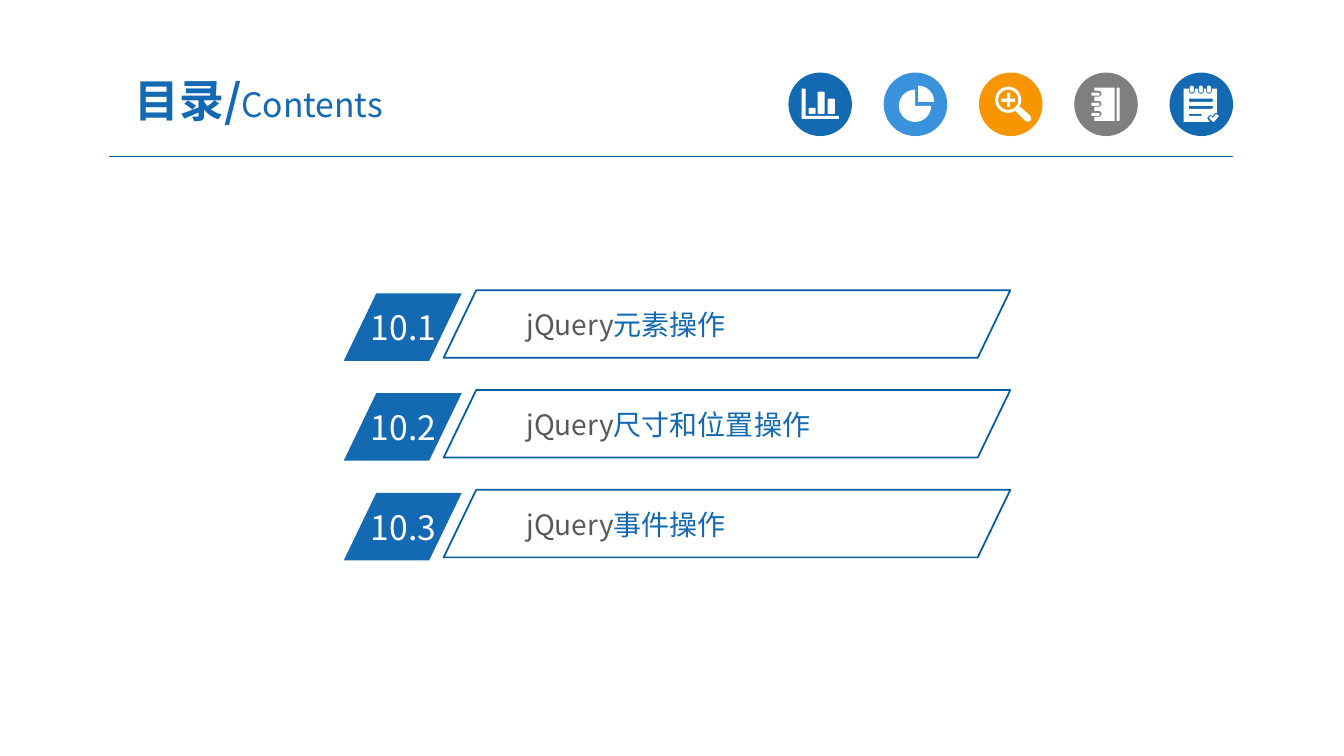
from dataclasses import dataclass
from math import cos, pi, sin

from lxml.etree import SubElement
from pptx import Presentation
from pptx.dml.color import RGBColor as RGB
from pptx.enum.shapes import MSO_CONNECTOR as CONN, MSO_SHAPE as SHAPE
from pptx.enum.text import MSO_ANCHOR as ANCHOR, MSO_AUTO_SIZE as AUTO, PP_ALIGN as ALIGN
from pptx.oxml.ns import qn
from pptx.util import Emu, Pt

EMU_PER_PX = 9144


@dataclass(frozen=True)
class Theme:
    """Colours, font and type sizes of the slide."""
    font: str = "Noto Sans CJK SC"
    blue: str = "1369B2"
    sky: str = "3992DB"
    orange: str = "F79600"
    gray: str = "7F7F7F"
    text: str = "595959"
    white: str = "FFFFFF"
    rule: str = "005B9E"
    outline: str = "005DA2"
    title: int = 32
    heading: int = 24
    body: int = 20


T = Theme()


def px(n):
    """Turn px into EMU."""
    return Emu(round(n * EMU_PER_PX))


def arc(cx, cy, r, start=0, end=360, steps=32):
    """Return points along an arc, in degrees clockwise from the right."""
    angles = [(start + (end - start) * i / steps) * pi / 180 for i in range(steps + 1)]
    return [(cx + r * cos(a), cy + r * sin(a)) for a in angles]


def bar(x, y, w, h, r=1):
    """Return the points of a bar with rounded corners."""
    corners = [(x + w - r, y + h - r), (x + r, y + h - r), (x + r, y + r), (x + w - r, y + r)]
    return [pt for i, (cx, cy) in enumerate(corners)
            for pt in arc(cx, cy, r, 90 * i, 90 * i + 90, 6)]


def chart_icon():
    """Return the contours of a bar chart."""
    axes = [(13, 16), (17, 16), (17, 43), (50, 43), (50, 46), (13, 46)]
    return [axes, bar(20, 35, 7, 6), bar(29, 19, 7, 22), bar(39, 26, 7, 15)]


def pie_icon():
    """Return the contours of a pie with one slice pulled out."""
    return [[(34, 29)] + arc(34, 29, 16, 270, 360), [(31, 33)] + arc(31, 33, 16, 0, 270)]


def magnifier_icon():
    """Return the contours of a magnifier with a plus sign."""
    cx, cy = 29, 27
    handle = [(36, 38), (46, 48), (49, 49), (52, 47), (51, 43), (41, 34)]
    plus = [(-7, -1), (-1, -1), (-1, -7), (2, -7), (2, -1), (7, -1),
            (7, 2), (2, 2), (2, 7), (-1, 7), (-1, 2), (-7, 2)]
    return [arc(cx, cy, 13), arc(cx, cy, 10), [(cx + x, cy + y) for x, y in plus], handle]


def notebook_icon():
    """Return the contours of a ring-bound notebook."""
    rings = [21, 31, 41]
    cover = [(40, 48), (40, 15), (20, 15)]
    for y in rings:
        cover += [(20, y - 3), *arc(24, y, 3, -90, 90, 8), (20, y + 3)]
    cover.append((20, 48))
    return [cover, bar(42, 15, 3, 33)] + [bar(17, y - 1, 8, 3) for y in rings]


def notepad_icon():
    """Return the contours of a notepad with a tick."""
    rings = [22, 31, 39]
    sheet = [(14, 49), (14, 16)]
    for x in rings:
        sheet += [(x - 3, 16), *arc(x, 18, 3, 180, 0, 8), (x + 3, 16)]
    sheet += [(47, 16), (47, 40), (45, 40), (43, 43), (40, 42), (37, 45), (40, 49)]
    tick = [(39, 45), (41, 43), (43, 45), (46, 41), (49, 43), (44, 49), (43, 49)]
    lines = [bar(19, 26, 24, 3), bar(19, 33, 24, 3), bar(19, 41, 13, 2)]
    return [sheet, tick, *lines] + [bar(x - 2, 13, 4, 7, 2) for x in rings]


def paint(sp, fill=None, line=None):
    """Set the fill and outline of a shape and drop its shadow."""
    sp.shadow.inherit = False
    if fill:
        sp.fill.solid()
        sp.fill.fore_color.rgb = RGB.from_string(fill)
    else:
        sp.fill.background()
    if line:
        sp.line.color.rgb = RGB.from_string(line)
        sp.line.width = Pt(1.25)
    else:
        sp.line.fill.background()


def add_shape(s, kind, x, y, w, h, fill=None, line=None):
    """Add a painted preset shape."""
    sp = s.shapes.add_shape(kind, px(x), px(y), px(w), px(h))
    paint(sp, fill, line)
    return sp


def add_slanted(s, x, y, w, h, fill=None, line=None):
    """Add a parallelogram with the slant shared by all rows."""
    add_shape(s, SHAPE.PARALLELOGRAM, x, y, w, h, fill, line).adjustments[0] = 0.482


def add_icon(s, x, y, color, contours):
    """Add a coloured disc with a white icon on it."""
    add_shape(s, SHAPE.OVAL, x, y, 63, 63, color)
    paths = [[(px(x + a), px(y + b)) for a, b in contour] for contour in contours]
    builder = s.shapes.build_freeform(*paths[0][0])
    for i, path in enumerate(paths):
        if i:
            builder.move_to(*path[0])
        builder.add_line_segments(path[1:], close=True)
    paint(builder.convert_to_shape(), T.white)


def add_text(s, x, y, w, h, runs, inset=(10, 5), centred=False):
    """Add a text box with runs of (text, size, colour, bold)."""
    sp = s.shapes.add_textbox(px(x), px(y), px(w), px(h))
    tf = sp.text_frame
    tf.word_wrap = True
    tf.margin_left = tf.margin_right = px(inset[0])
    tf.margin_top = tf.margin_bottom = px(inset[1])
    p = tf.paragraphs[0]
    if centred:
        tf.vertical_anchor = ANCHOR.MIDDLE
        p.alignment = ALIGN.CENTER
    else:
        tf.auto_size = AUTO.SHAPE_TO_FIT_TEXT
    for text, size, color, bold in runs:
        r = p.add_run()
        r.text = text
        r.font.size = Pt(size)
        r.font.bold = bold
        r.font.color.rgb = RGB.from_string(color)
        r.font.name = T.font
        SubElement(r.font._element, qn("a:ea")).set("typeface", T.font)


def add_rule(s, x1, x2, y):
    """Add the horizontal line under the header."""
    ln = s.shapes.add_connector(CONN.STRAIGHT, px(x1), px(y), px(x2), px(y))
    ln.line.color.rgb = RGB.from_string(T.rule)
    ln.line.width = Pt(0.75)
    SubElement(ln._element.spPr, qn("a:effectLst"))


def add_entry(s, y, number, topic):
    """Add one row of the contents list."""
    add_slanted(s, 341, y + 3, 117, 67, fill=T.blue)
    add_text(s, 358, y + 12, 112, 50, [(number, T.heading, T.white, False)])
    add_slanted(s, 440, y, 562, 67, line=T.outline)
    add_text(s, 515, y + 13, 412, 41, [("jQuery", T.body, T.text, False),
                                       (topic, T.body, T.blue, False)], inset=(7, 4))


def main():
    """Build the contents slide."""
    prs = Presentation()
    prs.slide_width, prs.slide_height = px(1333), px(750)
    s = prs.slides.add_slide(prs.slide_layouts[6])
    add_rule(s, 108, 1223, 155)
    icons = [(T.blue, chart_icon()), (T.sky, pie_icon()), (T.orange, magnifier_icon()),
             (T.gray, notebook_icon()), (T.blue, notepad_icon())]
    for i, (color, contours) in enumerate(icons):
        add_icon(s, 782 + 189 * i / 2, 72, color, contours)
    add_text(s, 92, 63, 329, 72, [("目录/", T.title, T.blue, True),
                                  ("Contents", T.heading, T.blue, False)],
             inset=(13, 7), centred=True)
    for i, topic in enumerate(["元素操作", "尺寸和位置操作", "事件操作"]):
        add_entry(s, 288 + 99 * i, f"10.{i + 1}", topic)
    prs.save("out.pptx")


if __name__ == "__main__":
    main()
